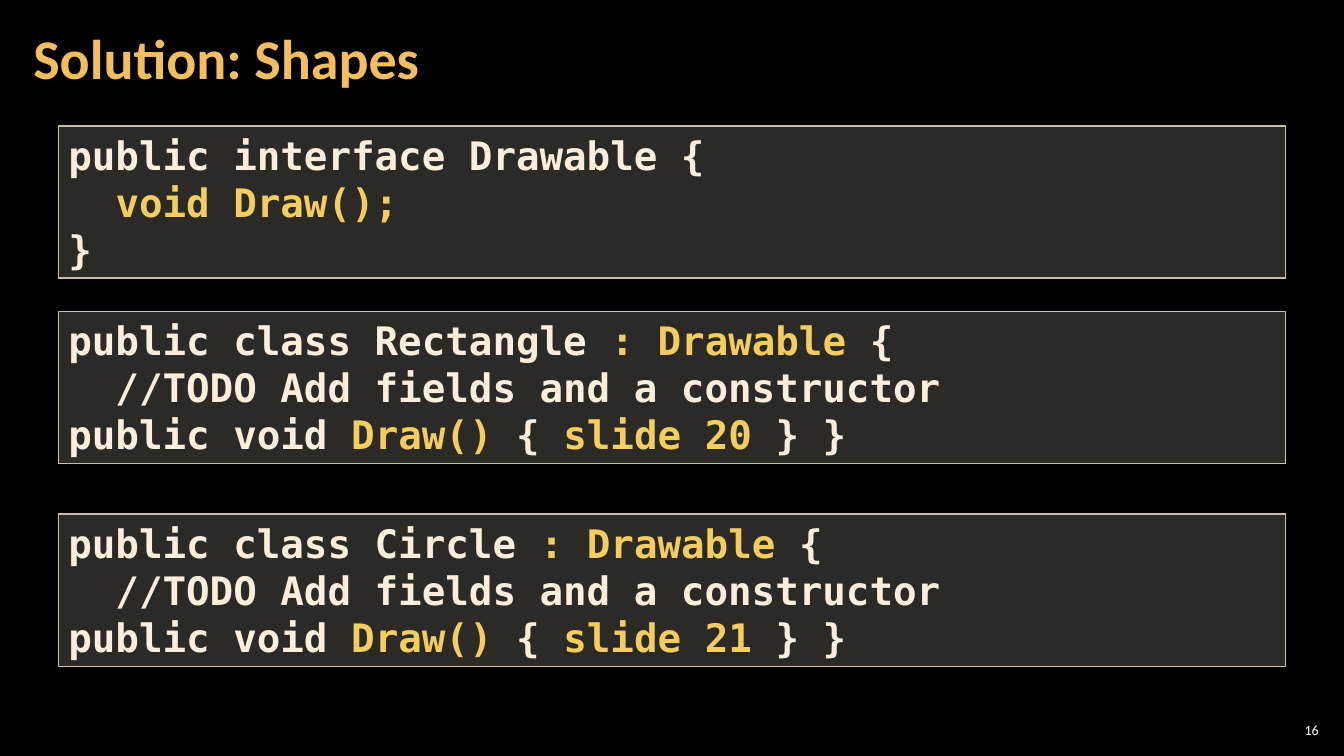
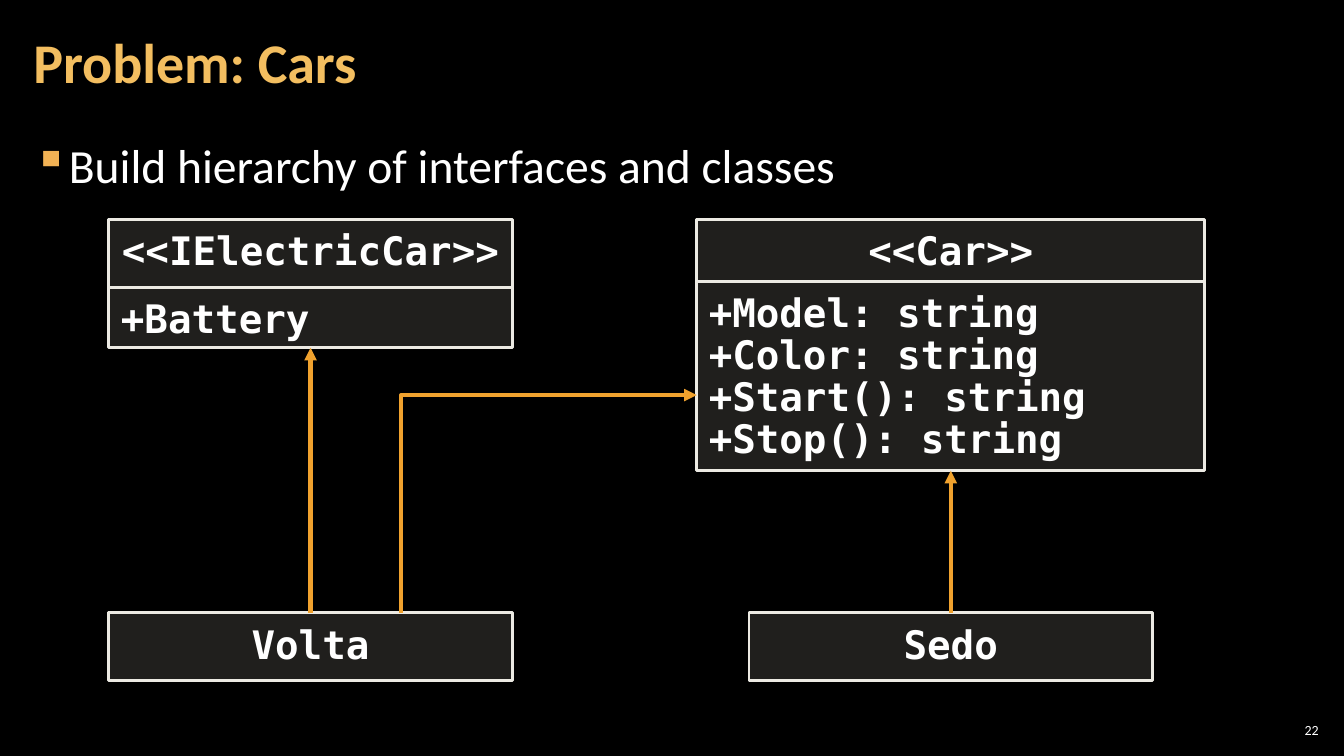
from lxml import etree
from pptx import Presentation
from pptx.dml.color import RGBColor
from pptx.enum.shapes import MSO_CONNECTOR as Connector, MSO_SHAPE as Shape
from pptx.enum.text import MSO_ANCHOR as Anchor, MSO_AUTO_SIZE as AutoSize, PP_ALIGN as Align
from pptx.oxml.ns import qn
from pptx.util import Inches, Pt

BACKGROUND = "000000"
WHITE = "FFFFFF"
TITLE = "F3BE60"
BULLET = "F2B254"
PANEL = "D9D5C7"
CODE_BORDER = "C7BFAC"
CODE_TEXT = "FBEEDC"
CODE_HIGHLIGHT = "F3CD60"
CLASS_BORDER = "ECEAE3"
ARROW = "F0A22E"
BODY_FONT = "Calibri"
CODE_FONT = "DejaVu Sans Mono"


def rgb(hex_color):
    return RGBColor.from_string(hex_color)


def add_element(parent, tag, **attributes):
    return etree.SubElement(parent, qn(tag), attributes)


def set_font(font, size, color, name=BODY_FONT, bold=False):
    font.name = name
    font.size = Pt(size)
    font.bold = bold
    font.color.rgb = rgb(color)


def set_frame(frame, horizontal, vertical, anchor=Anchor.TOP):
    """Set the side and top/bottom insets in inches, wrapping and anchor."""
    frame.auto_size = AutoSize.NONE
    frame.word_wrap = True
    frame.vertical_anchor = anchor
    frame.margin_left = frame.margin_right = Inches(horizontal)
    frame.margin_top = frame.margin_bottom = Inches(vertical)


class Deck:
    """Holds the shared style and the slide being built."""

    def __init__(self):
        self.prs = Presentation()
        self.prs.slide_width = Inches(13.33)
        self.prs.slide_height = Inches(7.5)
        background = self.prs.slide_master.background.fill
        background.solid()
        background.fore_color.rgb = rgb(BACKGROUND)
        self.slide = None

    def new_slide(self, heading, number, title_top=0):
        title_only = self.prs.slide_layouts[5]
        self.slide = self.prs.slides.add_slide(title_only)
        title = self.slide.shapes.title
        title.left, title.top = Inches(0.21), Inches(title_top)
        title.width, title.height = Inches(10.47), Inches(1.21)
        frame = title.text_frame
        frame.text = heading
        set_frame(frame, 0.12, 0.04, Anchor.MIDDLE)
        line = frame.paragraphs[0]
        line.alignment = Align.LEFT
        line.line_spacing = 0.9
        set_font(line.runs[0].font, 40, TITLE, bold=True)
        self.page_number(number)

    def text_box(self, text, left, top, width, height, size):
        """Add a one-paragraph box in the body font and return its frame."""
        box = self.slide.shapes.add_textbox(
            Inches(left), Inches(top), Inches(width), Inches(height))
        frame = box.text_frame
        frame.text = text
        set_font(frame.paragraphs[0].runs[0].font, size, WHITE)
        return frame

    def page_number(self, number):
        frame = self.text_box(str(number), 12.65, 7.14, 0.47, 0.21, 10)
        set_frame(frame, 0.04, 0.04, Anchor.MIDDLE)
        frame.paragraphs[0].alignment = Align.RIGHT

    def bullet(self, text):
        frame = self.text_box(text, 0.21, 1.28, 12.91, 0.75, 34)
        set_frame(frame, 0.12, 0.04)
        line = frame.paragraphs[0]
        line.line_spacing = 1.05
        line.space_after = Pt(6)
        properties = line._p.get_or_add_pPr()
        indent = Inches(0.33)
        properties.set("marL", str(indent))
        properties.set("indent", str(-indent))
        add_element(add_element(properties, "a:buClr"), "a:srgbClr", val=BULLET)
        add_element(properties, "a:buChar", char="▪")

    def panel(self, shapes, left, top, width, height, opacity, border, border_width):
        """Add a translucent rectangle; opacity is in percent."""
        panel = shapes.add_shape(
            Shape.RECTANGLE, Inches(left), Inches(top), Inches(width), Inches(height))
        panel.shadow.inherit = False
        panel.fill.solid()
        panel.fill.fore_color.rgb = rgb(PANEL)
        fill_color = panel._element.spPr.find(qn("a:solidFill"))[0]
        add_element(fill_color, "a:alpha", val=str(opacity * 1000))
        panel.line.color.rgb = rgb(border)
        panel.line.width = Pt(border_width)
        return panel

    def code(self, top, lines):
        """Add a code panel; "|" switches between plain and highlighted."""
        panel = self.panel(self.slide.shapes, 0.58, top, 12.17, 1.51, 20, CODE_BORDER, 1)
        frame = panel.text_frame
        set_frame(frame, 0.1, 0.05)
        frame.text = "\n".join([""] * len(lines))
        for paragraph, line in zip(frame.paragraphs, lines):
            paragraph.alignment = Align.LEFT
            for index, part in enumerate(line.split("|")):
                run = paragraph.add_run()
                run.text = part
                color = CODE_HIGHLIGHT if index % 2 else CODE_TEXT
                set_font(run.font, 28, color, CODE_FONT, bold=True)

    def class_cell(self, shapes, text, left, top, width, height, align=Align.CENTER):
        cell = self.panel(shapes, left, top, width, height, 15, CLASS_BORDER, 2)
        frame = cell.text_frame
        set_frame(frame, 0.12, 0.12)
        frame.text = text
        for paragraph in frame.paragraphs:
            paragraph.alignment = align
            paragraph.line_spacing = Pt(30)
            set_font(paragraph.runs[0].font, 28, WHITE, CODE_FONT, bold=True)
        return cell

    def class_box(self, name, members, left, top, width, name_height, members_height):
        """Group a name cell with a members cell and return the latter."""
        shapes = self.slide.shapes.add_group_shape().shapes
        self.class_cell(shapes, name, left, top, width, name_height)
        return self.class_cell(shapes, "\n".join(members), left, top + name_height,
                               width, members_height, Align.LEFT)

    def arrow(self, kind, start=(0, 0), end=(0, 0)):
        arrow = self.slide.shapes.add_connector(
            kind, *(Inches(value) for value in (*start, *end)))
        arrow.line.color.rgb = rgb(ARROW)
        arrow.line.width = Pt(3)
        add_element(arrow.line._get_or_add_ln(), "a:tailEnd", type="triangle")
        add_element(arrow._element.spPr, "a:effectLst")
        return arrow

    def inherit_arrow(self, child, parent):
        arrow = self.arrow(Connector.STRAIGHT)
        arrow.begin_connect(child, 0)
        arrow.end_connect(parent, 2)

    def corner_arrow(self, start, end):
        """Draw an arrow that runs vertically first, then horizontally."""
        arrow = self.arrow(Connector.ELBOW, start, end)
        geometry = arrow._element.spPr.find(qn("a:prstGeom"))
        guides = geometry.find(qn("a:avLst"))
        if guides is None:
            guides = add_element(geometry, "a:avLst")
        add_element(guides, "a:gd", name="adj1", fmla="val 0")


def shapes_solution(deck):
    deck.new_slide("Solution: Shapes", 16)
    deck.code(1.25, ["public interface Drawable {", "  |void Draw();", "}"])
    for top, name, page in ((3.09, "Rectangle", 20), (5.1, "Circle", 21)):
        deck.code(top, [
            f"public class {name} |: Drawable |{{",
            "  //TODO Add fields and a constructor",
            f"public void |Draw() |{{ |slide {page} |}} }}",
        ])


def cars_problem(deck):
    deck.new_slide("Problem: Cars", 22, title_top=0.04)
    deck.bullet("Build hierarchy of interfaces and classes")
    electric_car = deck.class_box(
        "<<IElectricCar>>", ["+Battery"], 1.08, 2.18, 4, 0.67, 0.6)
    car = deck.class_box(
        "<<Car>>",
        ["+Model: string", "+Color: string", "+Start(): string", "+Stop(): string"],
        6.91, 2.18, 5.04, 0.61, 1.88)
    models_top = 6.08
    petrol_model, electric_model = (
        deck.class_cell(deck.slide.shapes, name, left, models_top, 4, 0.67)
        for name, left in (("Sedo", 7.43), ("Volta", 1.08)))
    deck.inherit_arrow(electric_model, electric_car)
    deck.corner_arrow((3.98, models_top), (6.91, 3.92))
    deck.inherit_arrow(petrol_model, car)


def main():
    deck = Deck()
    shapes_solution(deck)
    cars_problem(deck)
    deck.prs.save("out.pptx")


if __name__ == "__main__":
    main()
